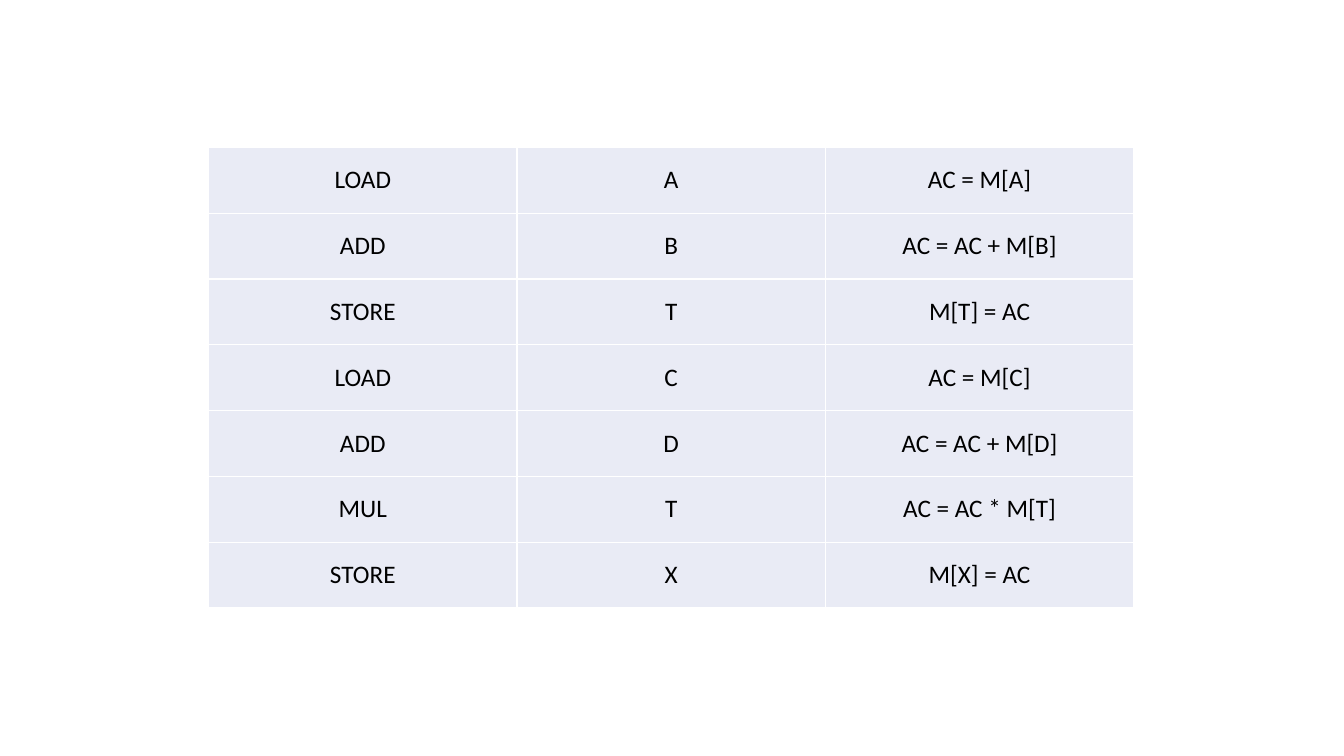
from typing import NamedTuple

from lxml.etree import SubElement
from pptx import Presentation
from pptx.dml.color import RGBColor
from pptx.enum.text import MSO_ANCHOR as Anchor, PP_ALIGN as Align
from pptx.oxml.ns import qn
from pptx.table import _Cell as Cell
from pptx.util import Pt

COLORS = {"cell": "E9EBF5", "border": "FFFFFF", "text": "000000"}
FONT = "Calibri"
TABLE_LEFT, TABLE_TOP = Pt(149), Pt(105.3)
COL_WIDTH, ROW_HEIGHT = Pt(220.3), Pt(47)


class Instruction(NamedTuple):
    opcode: str
    operand: str
    effect: str


PROGRAM = [
    Instruction("LOAD", "A", "AC = M[A]"),
    Instruction("ADD", "B", "AC = AC + M[B]"),
    Instruction("STORE", "T", "M[T] = AC"),
    Instruction("LOAD", "C", "AC = M[C]"),
    Instruction("ADD", "D", "AC = AC + M[D]"),
    Instruction("MUL", "T", "AC = AC * M[T]"),
    Instruction("STORE", "X", "M[X] = AC"),
]


def add_borders(cell: Cell) -> None:
    """Draw all four sides; must run before the fill, which follows them in the XML."""
    tc_pr = cell._tc.get_or_add_tcPr()
    for side in ("lnL", "lnR", "lnT", "lnB"):
        line = SubElement(tc_pr, qn(f"a:{side}"), w=str(Pt(1)))
        fill = SubElement(line, qn("a:solidFill"))
        SubElement(fill, qn("a:srgbClr"), val=COLORS["border"])


def fill_cell(cell: Cell, text: str) -> None:
    add_borders(cell)
    cell.fill.solid()
    cell.fill.fore_color.rgb = RGBColor.from_string(COLORS["cell"])
    cell.vertical_anchor = Anchor.MIDDLE
    p = cell.text_frame.paragraphs[0]
    p.alignment = Align.CENTER
    r = p.add_run()
    r.text = text
    r.font.name = FONT
    r.font.size = Pt(18)
    r.font.color.rgb = RGBColor.from_string(COLORS["text"])


def main() -> None:
    prs = Presentation()
    prs.slide_width, prs.slide_height = Pt(960), Pt(540)
    slide = prs.slides.add_slide(prs.slide_layouts[6])

    n_rows, n_cols = len(PROGRAM), len(Instruction._fields)
    table = slide.shapes.add_table(
        n_rows, n_cols, TABLE_LEFT, TABLE_TOP, COL_WIDTH * n_cols, ROW_HEIGHT * n_rows
    ).table
    table.first_row = False
    table.horz_banding = False
    for column in table.columns:
        column.width = COL_WIDTH
    for row, instruction in zip(table.rows, PROGRAM):
        row.height = ROW_HEIGHT
        for cell, text in zip(row.cells, instruction):
            fill_cell(cell, text)

    prs.save("out.pptx")


if __name__ == "__main__":
    main()
